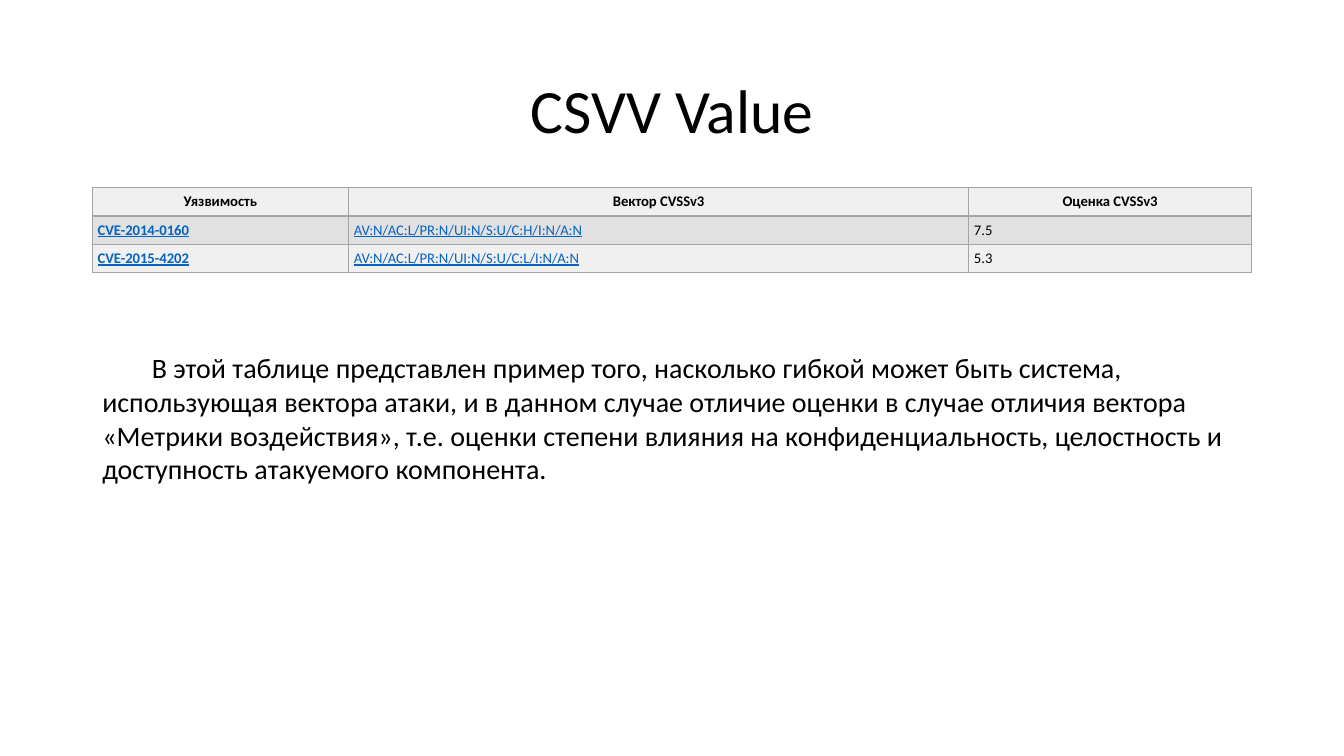
"""Build a slide that compares the CVSS scores of two flaws."""
from dataclasses import dataclass

import lxml.etree
import pptx
import pptx.dml.color
import pptx.enum.text
import pptx.oxml.ns
import pptx.util

Pt = pptx.util.Pt
RGB = pptx.dml.color.RGBColor
Align = pptx.enum.text.PP_ALIGN
Anchor = pptx.enum.text.MSO_ANCHOR
Fit = pptx.enum.text.MSO_AUTO_SIZE

BLACK = RGB(0x00, 0x00, 0x00)
BLUE = RGB(0x05, 0x63, 0xC1)
LIGHT = RGB(0xF0, 0xF0, 0xF0)
DARK = RGB(0xE1, 0xE1, 0xE1)
EDGE = RGB(0xA5, 0xA5, 0xA5)

LEFT, WIDTH = 66, 828
ROW = 20
COLS = (183, 443, 202)


@dataclass(frozen=True)
class Row:
    name: str
    vector: str
    score: str
    fill: RGB
    head: bool = False


ROWS = (
    Row("Уязвимость", "Вектор CVSSv3", "Оценка CVSSv3", LIGHT, head=True),
    Row("CVE-2014-0160", "AV:N/AC:L/PR:N/UI:N/S:U/C:H/I:N/A:N", "7.5", DARK),
    Row("CVE-2015-4202", "AV:N/AC:L/PR:N/UI:N/S:U/C:L/I:N/A:N", "5.3", LIGHT),
)
NOTE = (
    "В этой таблице представлен пример того, насколько гибкой может быть система, "
    "использующая вектора атаки, и в данном случае отличие оценки в случае отличия "
    "вектора «Метрики воздействия», т.е. оценки степени влияния на "
    "конфиденциальность, целостность и доступность атакуемого компонента."
)


def write(frame, text: str, *, size: float, color: RGB = BLACK, bold: bool = False,
          under: bool = False, align=Align.LEFT, space: float = 1.0,
          indent: float = 0) -> None:
    par = frame.paragraphs[0]
    par.alignment = align
    par.line_spacing = space
    if indent:
        par._p.get_or_add_pPr().set("indent", str(Pt(indent)))
    run = par.add_run()
    run.text = text
    font = run.font
    font.name = "Calibri"
    font.size = Pt(size)
    font.bold = bold
    font.underline = under
    font.color.rgb = color


def place(shape, top: float, height: float) -> None:
    shape.left, shape.top = Pt(LEFT), Pt(top)
    shape.width, shape.height = Pt(WIDTH), Pt(height)


def border(cell) -> None:
    props = cell._tc.get_or_add_tcPr()
    qn = pptx.oxml.ns.qn
    for side in ("a:lnL", "a:lnR", "a:lnT", "a:lnB"):
        line = lxml.etree.SubElement(props, qn(side), w=str(Pt(1)))
        fill = lxml.etree.SubElement(line, qn("a:solidFill"))
        lxml.etree.SubElement(fill, qn("a:srgbClr"), val=str(EDGE))


def draw_cell(cell, text: str, row: Row, col: int) -> None:
    border(cell)
    cell.fill.solid()
    cell.fill.fore_color.rgb = row.fill
    cell.margin_left = cell.margin_right = Pt(3.75)
    cell.margin_top = cell.margin_bottom = Pt(3.75)
    link = not row.head and col < 2
    write(cell.text_frame, text, size=10.5, color=BLUE if link else BLACK,
          bold=row.head or col == 0, under=link,
          align=Align.CENTER if row.head else Align.LEFT)


def draw_table(slide, top: float) -> None:
    grid = slide.shapes.add_table(
        len(ROWS), len(COLS), Pt(LEFT), Pt(top), Pt(WIDTH), Pt(ROW * len(ROWS))).table
    grid.first_row = grid.horz_banding = False
    for col, width in enumerate(COLS):
        grid.columns[col].width = Pt(width)
    for num, row in enumerate(ROWS):
        grid.rows[num].height = Pt(ROW)
        for col, text in enumerate((row.name, row.vector, row.score)):
            draw_cell(grid.cell(num, col), text, row, col)


def main() -> None:
    deck = pptx.Presentation()
    deck.slide_width, deck.slide_height = Pt(960), Pt(540)
    slide = deck.slides.add_slide(deck.slide_layouts[5])

    title = slide.shapes.title
    place(title, 28.75, 104.4)
    title.text_frame.auto_size = Fit.NONE
    title.text_frame.vertical_anchor = Anchor.MIDDLE
    write(title.text_frame, "CSVV Value", size=44, align=Align.CENTER, space=0.9)

    draw_table(slide, 134)

    note = slide.shapes.add_textbox(Pt(LEFT), Pt(247), Pt(WIDTH), Pt(104.4))
    note.text_frame.word_wrap = True
    note.text_frame.auto_size = Fit.SHAPE_TO_FIT_TEXT
    write(note.text_frame, NOTE, size=20, indent=35.4)

    deck.save("out.pptx")


if __name__ == "__main__":
    main()
